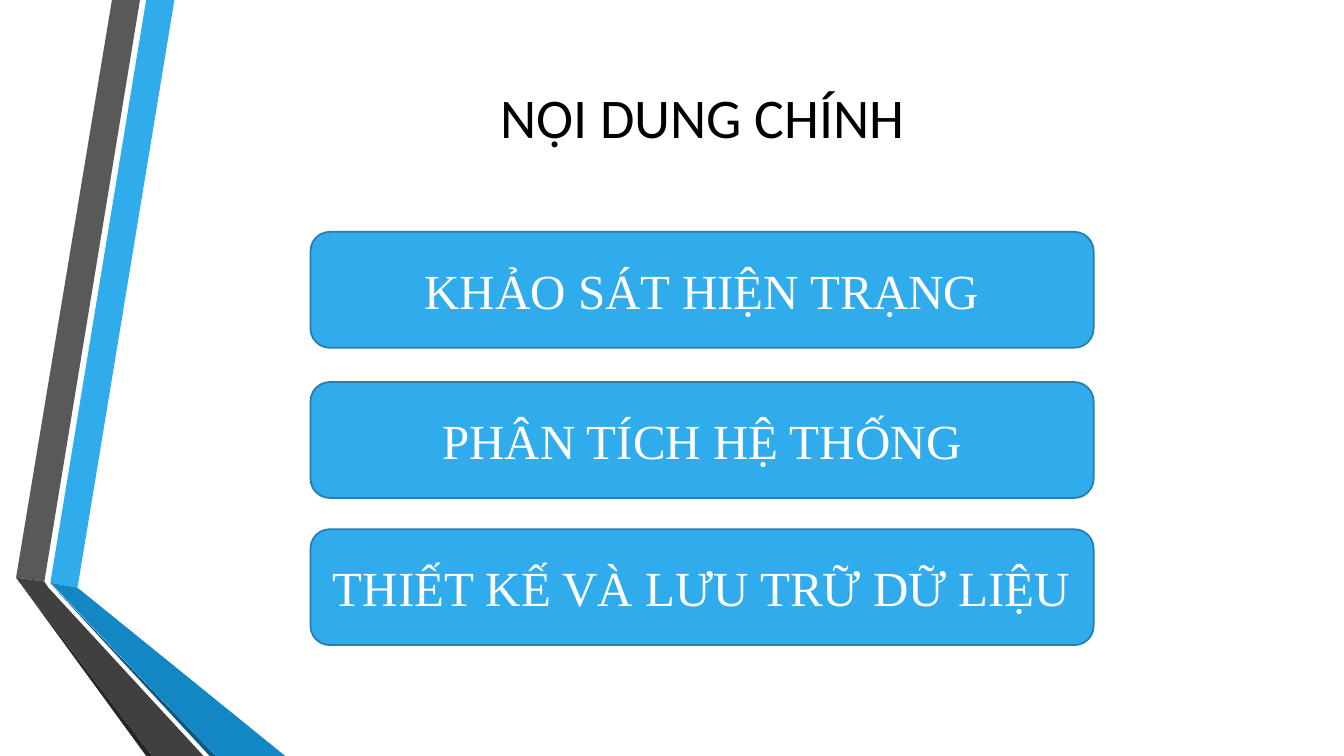
from pptx import Presentation
from pptx import util as u
from pptx.dml.color import RGBColor
from pptx.enum import shapes, text

BLACK = RGBColor(0x00, 0x00, 0x00)
WHITE = RGBColor(0xFF, 0xFF, 0xFF)
BLUE = RGBColor(0x30, 0xAC, 0xEC)
BLUE_EDGE = RGBColor(0x24, 0x7F, 0xAF)
BLUE_FOLD = RGBColor(0x12, 0x87, 0xC3)
BLUE_SHADE = RGBColor(0x0C, 0x5A, 0x82)
GRAY = RGBColor(0x59, 0x59, 0x59)
GRAY_FOLD = RGBColor(0x40, 0x40, 0x40)
GRAY_SHADE = RGBColor(0x26, 0x26, 0x26)

# Ribbon outlines, in points from the top left of the page
RIBBONS = [
    (BLUE, [(36, 416.2), (55.4, 419.8), (124.6, 0), (104.4, 0)]),
    (GRAY, [(100, 0), (80, 0), (11.5, 412.6), (31.7, 415.4)]),
    (GRAY_SHADE, [(11.5, 412.6), (104.4, 540), (108.7, 540)]),
    (BLUE_SHADE, [(36, 416.9), (149.8, 540), (154.1, 540)]),
    (BLUE_FOLD, [(36, 416.2), (154.1, 540), (203.8, 540), (55.4, 419.8)]),
    (GRAY_FOLD, [(145.4, 540), (34.6, 419.8), (31.7, 415.4), (11.5, 412.6), (108.7, 540)]),
]
TOPICS = [
    ("KHẢO SÁT HIỆN TRẠNG", 165.6),
    ("PHÂN TÍCH HỆ THỐNG", 272.9),
    ("THIẾT KẾ VÀ LƯU TRỮ DỮ LIỆU", 378),
]


def write_centred(shape, words, font):
    frame = shape.text_frame
    frame.word_wrap = True
    frame.vertical_anchor = text.MSO_ANCHOR.MIDDLE
    para = frame.paragraphs[0]
    para.alignment = text.PP_ALIGN.CENTER
    span = para.add_run()
    span.text = words
    for name, value in font.items():
        if name == "color":
            span.font.color.rgb = value
        else:
            setattr(span.font, name, value)


deck = Presentation()
deck.slide_width, deck.slide_height = u.Pt(960), u.Pt(540)
page = deck.slides.add_slide(deck.slide_layouts.get_by_name("Title Only"))

for color, outline in RIBBONS:
    corners = [(u.Pt(x), u.Pt(y)) for x, y in outline]
    builder = page.shapes.build_freeform(*corners[0])
    builder.add_line_segments(corners[1:], close=True)
    ribbon = builder.convert_to_shape()
    ribbon.shadow.inherit = False
    ribbon.fill.solid()
    ribbon.fill.fore_color.rgb = color
    ribbon.line.fill.background()

title = page.shapes.title
title_place = {"left": 316.8, "top": 54, "width": 370, "height": 57.6}
for side, length in title_place.items():
    setattr(title, side, u.Pt(length))
write_centred(title, "NỘI DUNG CHÍNH", {"name": "Calibri", "size": u.Pt(40), "color": BLACK})

topic_font = {"name": "Times New Roman", "size": u.Pt(35), "color": WHITE}
for topic, top in TOPICS:
    box = page.shapes.add_shape(
        shapes.MSO_SHAPE.ROUNDED_RECTANGLE, u.Pt(221.8), u.Pt(top), u.Pt(559.4), u.Pt(82.8)
    )
    box.shadow.inherit = False
    box.fill.solid()
    box.fill.fore_color.rgb = BLUE
    box.line.color.rgb = BLUE_EDGE
    box.line.width = u.Pt(1.25)
    write_centred(box, topic, topic_font)

deck.save("out.pptx")
